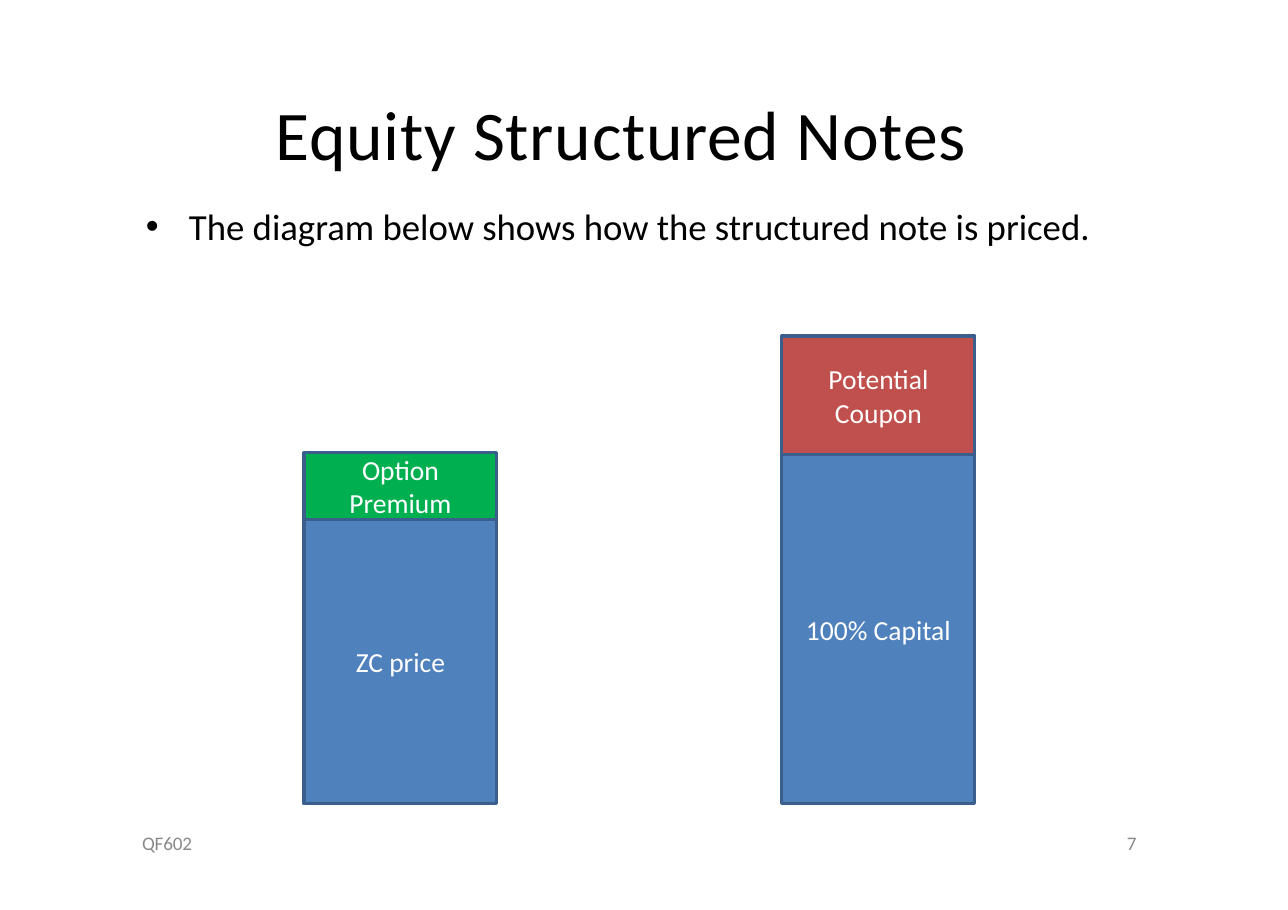
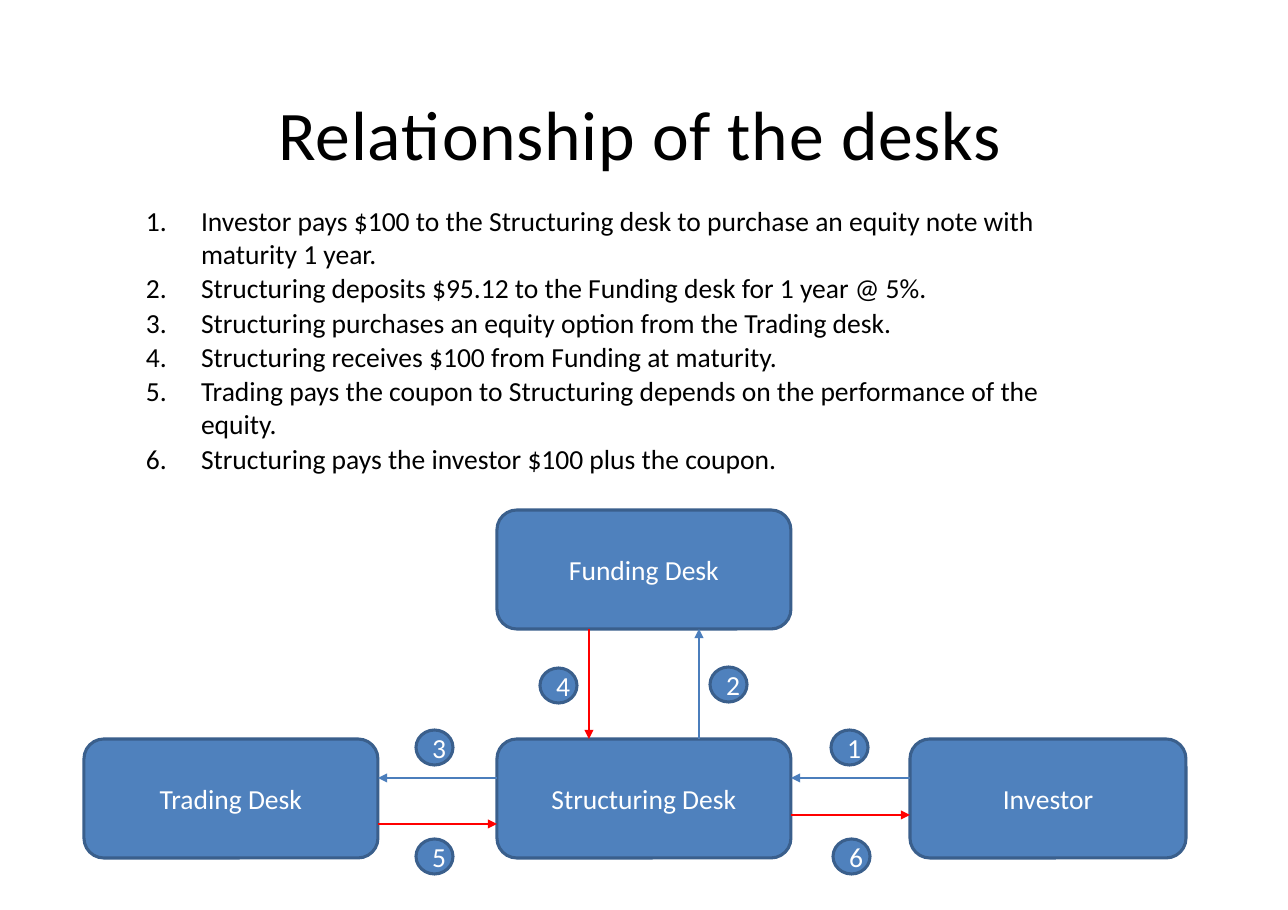
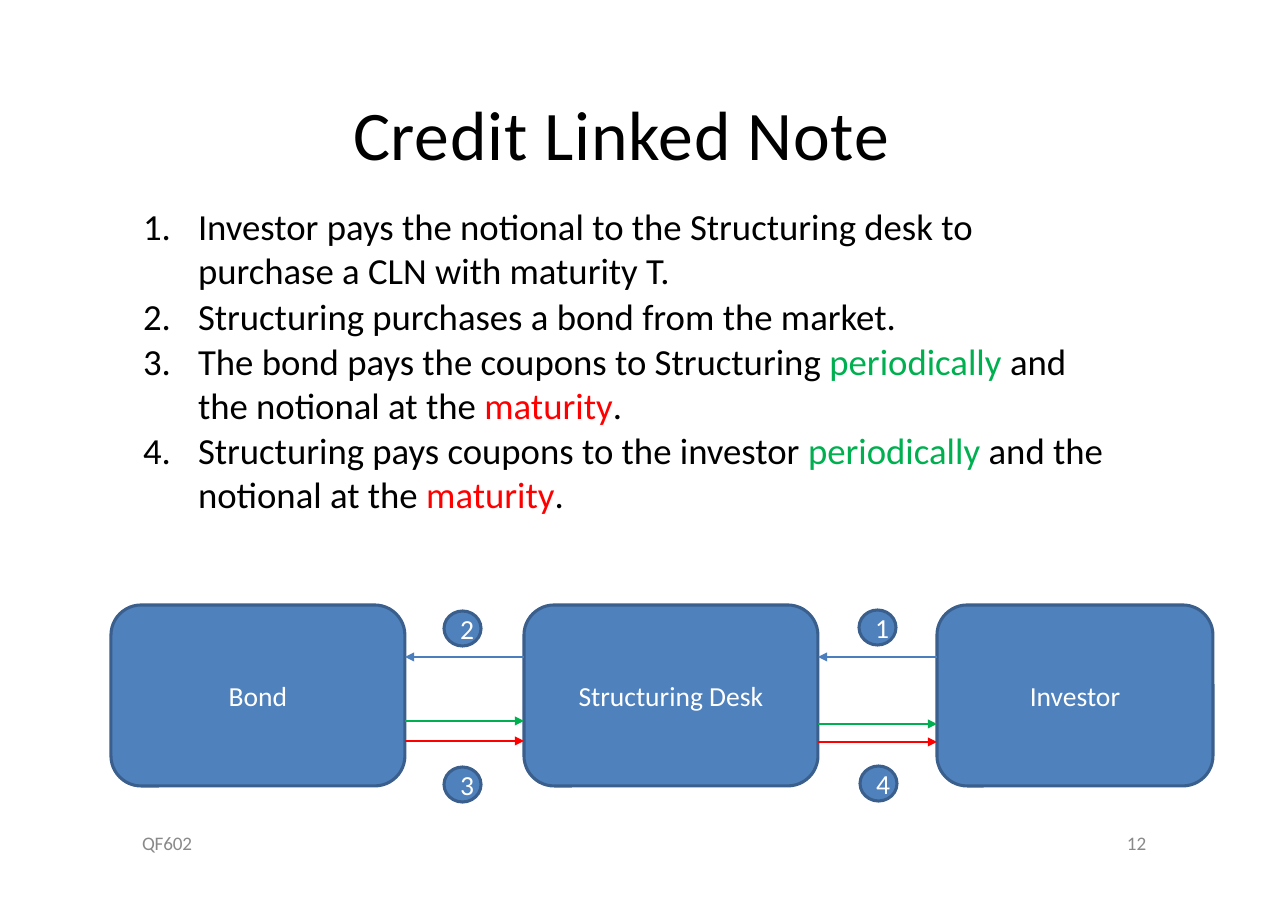
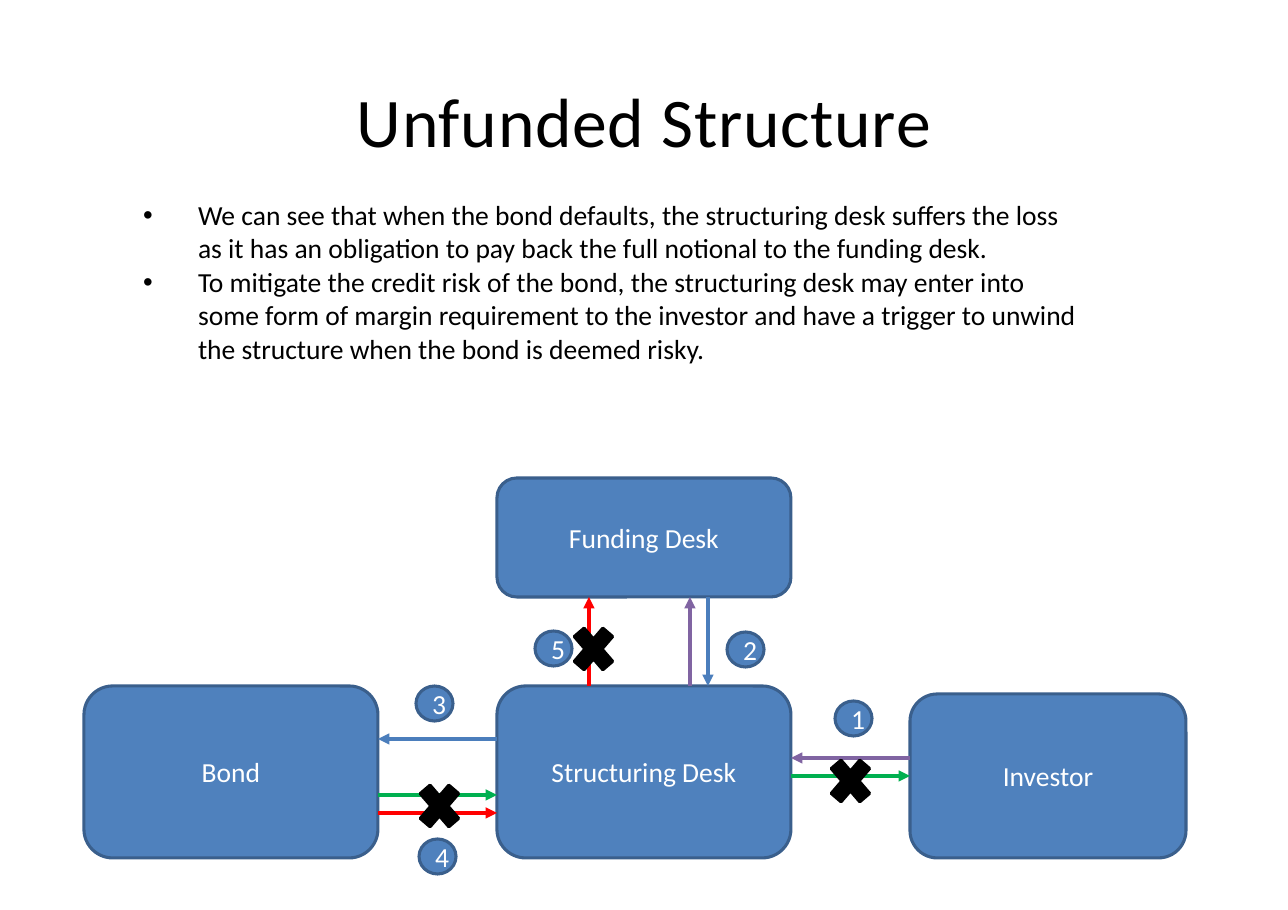
from dataclasses import dataclass

from lxml.etree import SubElement
from pptx import Presentation
from pptx.dml.color import RGBColor
from pptx.enum.shapes import MSO_CONNECTOR as Line, MSO_SHAPE as Shape
from pptx.enum.text import MSO_ANCHOR as Anchor, MSO_AUTO_SIZE as AutoSize, PP_ALIGN as Align
from pptx.oxml.ns import qn
from pptx.util import Pt

EMU_PER_PX = 914400 / 110.2


@dataclass(frozen=True)
class Theme:
    """Colours, font and type sizes of the deck."""
    font: str = "Calibri"
    black: str = "000000"
    white: str = "FFFFFF"
    grey: str = "898989"
    blue: str = "4F81BD"
    edge: str = "3A5F8C"
    flow: str = "4B7EBC"
    green: str = "00B050"
    red: str = "FF0000"
    brick: str = "C0504D"
    purple: str = "8064A2"
    title: float = 45.5
    large: float = 24
    normal: float = 18
    small: float = 12.5
    outline: float = 2
    thin: float = 0.75
    thick: float = 2.5


@dataclass(frozen=True)
class Box:
    """A rectangle in pixels."""
    x: int
    y: int
    w: int
    h: int

    @property
    def right(self):
        return self.x + self.w

    @property
    def bottom(self):
        return self.y + self.h


T = Theme()
BADGE = (37, 35)
CROSS = (55, 64)
TITLE_BOX = Box(259, 90, 725, 86)
WIDE_TITLE_BOX = Box(259, 90, 763, 86)


def px(n):
    """Turn pixels into EMU."""
    return round(n * EMU_PER_PX)


def frame(box):
    """Give left, top, width and height of a box in EMU."""
    return px(box.x), px(box.y), px(box.w), px(box.h)


def rgb(color):
    """Turn a hex string into a colour."""
    return RGBColor.from_string(color)


def add_run(p, text, size, color, spacing=0):
    """Add one formatted run; spacing is in hundredths of a point."""
    r = p.add_run()
    r.text = text
    r.font.name, r.font.size = T.font, Pt(size)
    r.font.color.rgb = rgb(color)
    if spacing:
        r._r.get_or_add_rPr().set("spc", str(spacing))


def plain_frame(sp, top=0):
    """Give a text frame no margins, top anchoring and wrapping."""
    tf = sp.text_frame
    tf.margin_left = tf.margin_right = tf.margin_bottom = 0
    tf.margin_top = px(top)
    tf.vertical_anchor, tf.auto_size = Anchor.TOP, AutoSize.NONE
    tf.word_wrap = True
    return tf


def place(sp, box):
    """Move a placeholder to a box."""
    sp.left, sp.top, sp.width, sp.height = frame(box)


def add_page(prs, title, box):
    """Add a slide with its title."""
    s = prs.slides.add_slide(prs.slide_layouts[1])
    place(s.shapes.title, box)
    p = plain_frame(s.shapes.title, 1).paragraphs[0]
    p.alignment, p.space_before = Align.CENTER, Pt(1.1)
    add_run(p, title, T.title, T.black, 50)
    return s


def add_list(s, box, items, size, numbered=False, indent=55):
    """Fill the body; an item is a string or a list of (text, colour) runs."""
    sp = s.placeholders[1]
    place(sp, box)
    tf = plain_frame(sp, 1)
    for i, item in enumerate(items):
        p = tf.add_paragraph() if i else tf.paragraphs[0]
        p.line_spacing, p.space_before = 1.0, Pt(0.8)
        pPr = p._p.get_or_add_pPr()
        pPr.set("marL", str(px(indent + 2)))
        pPr.set("indent", str(-px(indent)))
        if numbered:
            SubElement(pPr, qn("a:buFontTx"))
            SubElement(pPr, qn("a:buAutoNum"), type="arabicPeriod")
        runs = [(item, T.black)] if isinstance(item, str) else item
        for text, color in runs:
            add_run(p, text, size, color)


def add_footer(s, number):
    """Add the course code and the page number."""
    for text, box in (("QF602", Box(142, 831, 60, 26)), (number, Box(1127, 831, 30, 26))):
        p = plain_frame(s.shapes.add_textbox(*frame(box))).paragraphs[0]
        p.space_before = Pt(0.3)
        add_run(p, text, T.small, T.grey, -10)


def add_block(s, kind, box, text="", fill=T.blue, edge=T.edge):
    """Add a filled preset shape with centred white text."""
    sp = s.shapes.add_shape(kind, *frame(box))
    sp.shadow.inherit = False
    sp.fill.solid()
    sp.fill.fore_color.rgb = rgb(fill)
    sp.line.color.rgb, sp.line.width = rgb(edge), Pt(T.outline)
    if text:
        tf = sp.text_frame
        tf.word_wrap, tf.vertical_anchor = True, Anchor.MIDDLE
        p = tf.paragraphs[0]
        p.alignment = Align.CENTER
        add_run(p, text, T.normal, T.white)


def add_stack(s, box, base, top, top_height, top_fill):
    """Draw a bar whose coloured top part sits on a blue base."""
    add_block(s, Shape.RECTANGLE,
              Box(box.x, box.y + top_height, box.w, box.h - top_height), base)
    add_block(s, Shape.RECTANGLE, Box(box.x, box.y, box.w, top_height), top, top_fill)


def add_desk(s, box, name):
    """Draw one party as a rounded box."""
    add_block(s, Shape.ROUNDED_RECTANGLE, box, name)
    return box


def add_desk_row(s, box, names, last_drop=0):
    """Draw three parties with equal gaps, the last one narrower."""
    widths = (294, 294, 276)
    gap = (box.w - sum(widths)) // 2
    desks, x = [], box.x
    for name, w, drop in zip(names, widths, (0, 0, last_drop)):
        desks.append(add_desk(s, Box(x, box.y + drop, w, box.h - drop), name))
        x += w + gap
    return desks


def add_arrow(s, start, end, color, weight):
    """Draw a straight arrow between two points."""
    c = s.shapes.add_connector(Line.STRAIGHT, *map(px, start + end))
    c.line.color.rgb, c.line.width = rgb(color), Pt(weight)
    SubElement(c.line._get_or_add_ln(), qn("a:tailEnd"), type="triangle")
    SubElement(c._element.spPr, qn("a:effectLst"))


def add_flow_across(s, source, target, y, color, weight=T.thin):
    """Draw a horizontal arrow between the facing sides of two boxes."""
    ends = (source.right, target.x) if source.x < target.x else (source.x, target.right)
    add_arrow(s, (ends[0], y), (ends[1], y), color, weight)


def add_flow_upright(s, source, target, dx, color, weight=T.thin):
    """Draw a vertical arrow, dx from the left side of the source."""
    ends = (source.bottom, target.y) if source.y < target.y else (source.y, target.bottom)
    x = source.x + dx
    add_arrow(s, (x, ends[0]), (x, ends[1]), color, weight)


def add_badges(s, box, offsets):
    """Draw numbered circles at offsets from the corner of the row."""
    for number, (dx, dy) in offsets.items():
        add_block(s, Shape.OVAL, Box(box.x + dx, box.y + dy, *BADGE), str(number))


def add_crosses(s, box, offsets):
    """Strike out flows at offsets from the corner of the row."""
    for dx, dy in offsets:
        add_block(s, Shape.MATH_MULTIPLY, Box(box.x + dx, box.y + dy, *CROSS),
                  fill=T.black, edge=T.black)


def equity_notes(prs):
    """Show how the note is priced with two stacked bars."""
    s = add_page(prs, "Equity Structured Notes", TITLE_BOX)
    add_list(s, Box(144, 203, 966, 45),
             ["The diagram below shows how the structured note is priced."],
             T.large, indent=43)
    add_stack(s, Box(304, 453, 193, 351), "ZC price", "Option Premium", 67, T.green)
    add_stack(s, Box(782, 336, 193, 468), "100% Capital", "Potential Coupon", 119, T.brick)
    add_footer(s, "7")


def desk_relations(prs):
    """Show the payments between the desks and the investor."""
    s = add_page(prs, "Relationship of the desks", WIDE_TITLE_BOX)
    add_list(s, Box(144, 203, 966, 325), [
        "Investor pays $100 to the Structuring desk to purchase an equity note with "
        "maturity 1 year.",
        "Structuring deposits $95.12 to the Funding desk for 1 year @ 5%.",
        "Structuring purchases an equity option from the Trading desk.",
        "Structuring receives $100 from Funding at maturity.",
        "Trading pays the coupon to Structuring depends on the performance of the equity.",
        "Structuring pays the investor $100 plus the coupon.",
    ], T.normal, numbered=True)
    row = Box(84, 739, 1102, 119)
    trading, structuring, investor = add_desk_row(
        s, row, ("Trading Desk", "Structuring Desk", "Investor"))
    funding = add_desk(s, Box(structuring.x, 510, 294, 119), "Funding Desk")
    for source, target, dy, color in (
            (investor, structuring, 39, T.flow), (structuring, trading, 39, T.flow),
            (trading, structuring, 85, T.red), (structuring, investor, 76, T.red)):
        add_flow_across(s, source, target, row.y + dy, color)
    add_flow_upright(s, structuring, funding, 202, T.flow)
    add_flow_upright(s, funding, structuring, 92, T.red)
    add_badges(s, row, {1: (747, -9), 2: (626, -72), 3: (332, -9),
                        4: (456, -71), 5: (332, 100), 6: (749, 100)})


def credit_linked_note(prs):
    """Show the payments of a credit linked note."""
    s = add_page(prs, "Credit Linked Note", TITLE_BOX)
    payment = [("periodically", T.green), (" and the notional at the ", T.black),
               ("maturity", T.red), (".", T.black)]
    add_list(s, Box(141, 203, 968, 356), [
        "Investor pays the notional to the Structuring desk to purchase a CLN with maturity T.",
        "Structuring purchases a bond from the market.",
        [("The bond pays the coupons to Structuring ", T.black)] + payment,
        [("Structuring pays coupons to the investor ", T.black)] + payment,
    ], T.large, numbered=True)
    row = Box(111, 605, 1102, 181)
    bond, structuring, investor = add_desk_row(
        s, row, ("Bond", "Structuring Desk", "Investor"))
    for source, target, dy, color in (
            (investor, structuring, 52, T.flow), (structuring, bond, 52, T.flow),
            (bond, structuring, 116, T.green), (bond, structuring, 136, T.red),
            (structuring, investor, 119, T.green), (structuring, investor, 137, T.red)):
        add_flow_across(s, source, target, row.y + dy, color)
    add_badges(s, row, {1: (748, 5), 2: (333, 6), 3: (333, 162), 4: (749, 161)})
    add_footer(s, "12")


def unfunded_structure(prs):
    """Show which payments stop when the bond defaults."""
    s = add_page(prs, "Unfunded Structure", Box(263, 77, 763, 86))
    add_list(s, Box(141, 197, 940, 218), [
        "We can see that when the bond defaults, the structuring desk suffers the loss as it "
        "has an obligation to pay back the full notional to the funding desk.",
        "To mitigate the credit risk of the bond, the structuring desk may enter into some "
        "form of margin requirement to the investor and have a trigger to unwind the "
        "structure when the bond is deemed risky.",
    ], T.normal)
    row = Box(84, 686, 1102, 172)
    bond, structuring, investor = add_desk_row(
        s, row, ("Bond", "Structuring Desk", "Investor"), last_drop=8)
    funding = add_desk(s, Box(structuring.x, 478, 294, 119), "Funding Desk")
    for source, target, dy, color in (
            (investor, structuring, 72, T.purple), (structuring, bond, 53, T.flow),
            (bond, structuring, 109, T.green), (bond, structuring, 127, T.red),
            (structuring, investor, 90, T.green)):
        add_flow_across(s, source, target, row.y + dy, color, T.thick)
    for source, target, dx, color in (
            (structuring, funding, 193, T.purple), (structuring, funding, 92, T.red),
            (funding, structuring, 211, T.flow)):
        add_flow_upright(s, source, target, dx, color, T.thick)
    add_badges(s, row, {1: (751, 15), 2: (643, -54), 3: (332, 0),
                        4: (335, 153), 5: (451, -55)})
    add_crosses(s, row, [(328, 88), (482, -69), (739, 63)])


def main():
    """Build the deck and save it."""
    prs = Presentation()
    prs.slide_width, prs.slide_height = px(1288), px(910)
    for build in (equity_notes, desk_relations, credit_linked_note, unfunded_structure):
        build(prs)
    prs.save("out.pptx")


main()
